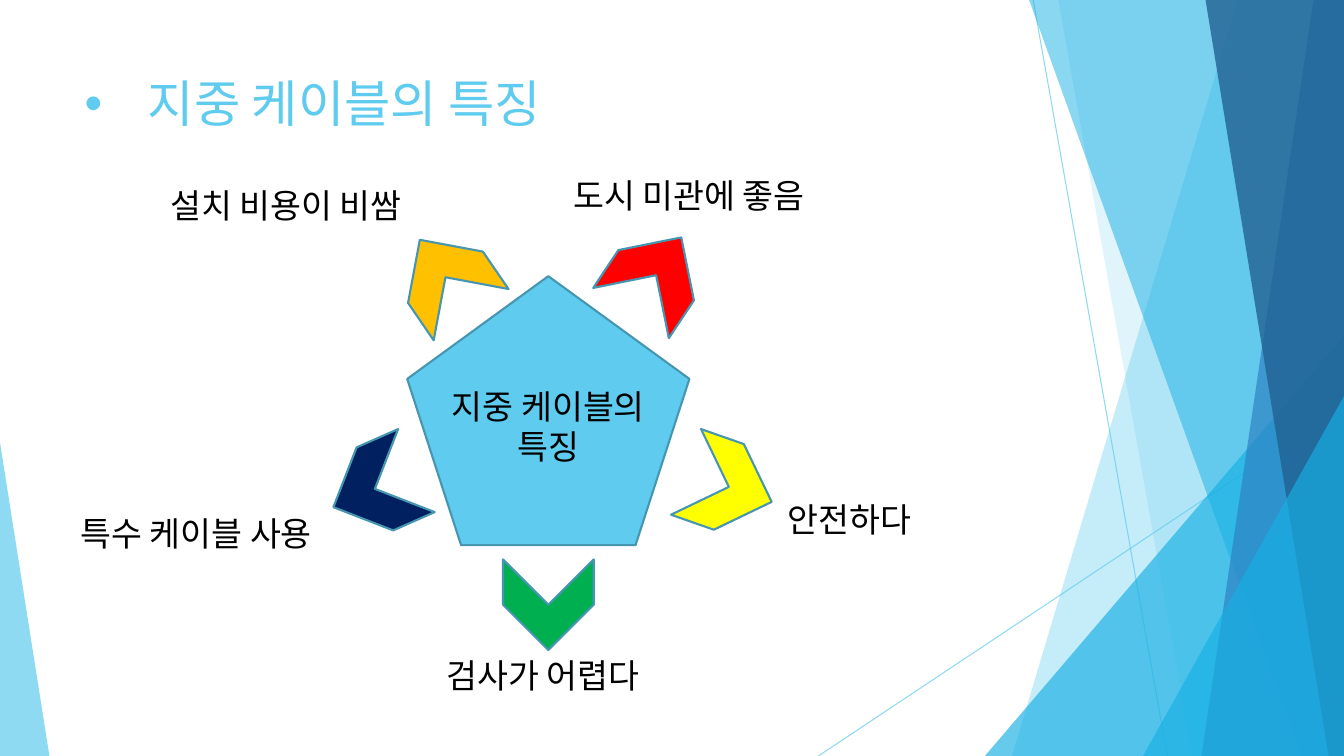
from lxml import etree
from pptx import Presentation
from pptx import util as u
from pptx.dml.color import RGBColor
from pptx.enum import shapes, text
from pptx.oxml import ns

Pt = u.Pt
SHAPE = shapes.MSO_SHAPE
WIDTH, HEIGHT = 960, 540
FONT = "Roboto"
COLORS = {
    "sky": "5FCBEF", "azure": "17B0E4", "blue": "2E83C3", "navy": "226292",
    "edge": "4696B1", "black": "000000", "red": "FF0000", "yellow": "FFFF00",
    "green": "00B050", "indigo": "002060", "orange": "FFC000",
}

# Content
TITLE = "지중 케이블의 특징"
CENTER = ["지중 케이블의", "특징"]
# label, label left and top, chevron left and top, rotation, colour
FEATURES = [
    ("도시 미관에 좋음", (402.5, 121.7), (436.3, 164.2), 303.6, "red"),
    ("안전하다", (555.8, 352.8), (488.2, 315.4), 19.3, "yellow"),
    ("검사가 어렵다", (311.8, 464.4), (359.3, 399.6), 90, "green"),
    ("특수 케이블 사용", (50.4, 362.9), (235.4, 316.8), 156.2, "indigo"),
    ("설치 비용이 비쌈", (114.5, 128.9), (285.8, 165.6), 235.6, "orange"),
]
LABEL_SIZE = (208.8, 36)
CHEVRON_SIZE = (64.8, 64.8)

# Backdrop, back to front
RAYS = [((738, 0), (833.8, HEIGHT)), ((WIDTH, 290.2), (584.6, HEIGHT))]
# bands reach the right edge: top left x, bottom left x, colour, opacity
# triangles stand on the bottom edge: left, top, width, apex, colour, opacity
BACKDROP = [
    ("band", (884.2, 722.9), "sky", 36),
    ("band", (756, 851.8), "sky", 20),
    ("triangle", (703.5, 239.8, 256.5, 1), "azure", 66),
    ("band", (735.1, 929.5), "azure", 50),
    ("band", (938.2, 858.2), "blue", 70),
    ("band", (861.1, 949), "navy", 80),
    ("triangle", (816.5, 283, 143.5, 1), "azure", 66),
    ("triangle", (0, 316.1, 35.3, 0), "sky", 70),
]


def rgb(name):
    return RGBColor.from_string(COLORS[name])


def points(*values):
    return [Pt(value) for value in values]


def set_opacity(shape, percent):
    color = next(shape._element.spPr.iter(ns.qn("a:srgbClr")))
    etree.SubElement(color, ns.qn("a:alpha"), val=str(percent * 1000))


def paint(shape, fill, edge=None):
    shape.shadow.inherit = False
    shape.fill.solid()
    shape.fill.fore_color.rgb = rgb(fill)
    if edge:
        shape.line.color.rgb = rgb(edge)
        shape.line.width = Pt(1.5)
    else:
        shape.line.fill.background()


def write(para, words, size, color):
    span = para.add_run()
    span.text = words
    for name, value in {"size": Pt(size), "name": FONT}.items():
        setattr(span.font, name, value)
    span.font.color.rgb = rgb(color)


def add_label(page, lines, place, align):
    box = page.shapes.add_textbox(*points(*place))
    frame = box.text_frame
    frame.word_wrap = True
    frame.auto_size = text.MSO_AUTO_SIZE.SHAPE_TO_FIT_TEXT
    for index, words in enumerate(lines):
        para = frame.add_paragraph() if index else frame.paragraphs[0]
        para.alignment = align
        write(para, words, 24, "black")


def add_backdrop(page):
    for start, end in RAYS:
        ray = page.shapes.add_connector(
            shapes.MSO_CONNECTOR.STRAIGHT, *points(*start, *end))
        ray.line.color.rgb = rgb("sky")
        ray.line.width = Pt(0.75)
        set_opacity(ray, 70)
        etree.SubElement(ray._element.spPr, ns.qn("a:effectLst"))
    for kind, place, color, opacity in BACKDROP:
        if kind == "band":
            top, bottom = place
            outline = page.shapes.build_freeform(*points(top, 0))
            corners = [(WIDTH, 0), (WIDTH, HEIGHT), (bottom, HEIGHT)]
            outline.add_line_segments([points(*corner) for corner in corners])
            shape = outline.convert_to_shape()
        else:
            left, top, width, apex = place
            shape = page.shapes.add_shape(
                SHAPE.ISOSCELES_TRIANGLE,
                *points(left, top, width, HEIGHT - top))
            shape.adjustments[0] = apex
        paint(shape, color)
        set_opacity(shape, opacity)


deck = Presentation()
deck.slide_width, deck.slide_height = points(WIDTH, HEIGHT)
page = deck.slides.add_slide(deck.slide_layouts[5])
add_backdrop(page)

# Title with its bullet
title = page.shapes.title
title.left, title.top, title.width, title.height = points(53.3, 48.2, 676.8, 103.7)
frame = title.text_frame
for name, value in {"vertical_anchor": text.MSO_ANCHOR.TOP, "word_wrap": True,
                    "auto_size": text.MSO_AUTO_SIZE.NONE}.items():
    setattr(frame, name, value)
heading = frame.paragraphs[0]
heading.alignment = text.PP_ALIGN.LEFT
write(heading, TITLE, 36, "sky")
props = heading._p.get_or_add_pPr()
props.set("marL", str(Pt(45)))
props.set("indent", str(-Pt(45)))
etree.SubElement(props, ns.qn("a:buFont"), typeface="Arial")
etree.SubElement(props, ns.qn("a:buChar"), char="•")

# Pentagon in the middle
pentagon = page.shapes.add_shape(
    SHAPE.REGULAR_PENTAGON, *points(290.9, 197.3, 201.6, 192.2))
paint(pentagon, "sky", "edge")
add_label(page, CENTER, (276.5, 272.2, 230.4, 65.5), text.PP_ALIGN.CENTER)

# Chevrons and their labels
for words, label_at, chevron_at, turn, color in FEATURES:
    chevron = page.shapes.add_shape(
        SHAPE.CHEVRON, *points(*chevron_at, *CHEVRON_SIZE))
    chevron.rotation = turn
    paint(chevron, color, "edge")
    add_label(page, [words], label_at + LABEL_SIZE, text.PP_ALIGN.LEFT)

deck.save("out.pptx")
